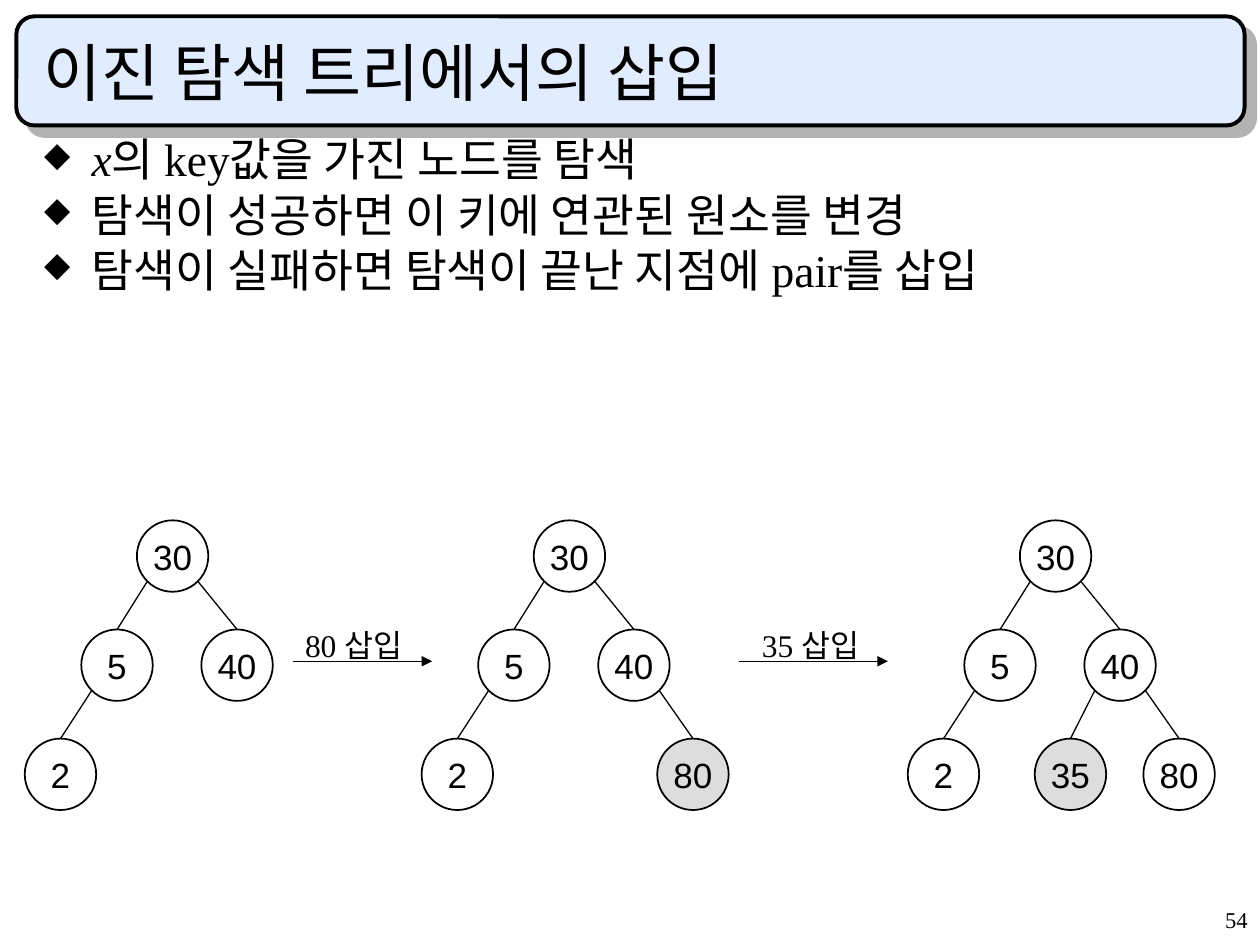
from dataclasses import dataclass
from math import sqrt

from lxml.etree import SubElement
from pptx import Presentation
from pptx.dml.color import RGBColor as RGB
from pptx.enum.shapes import MSO_CONNECTOR as CONNECTOR, MSO_SHAPE as SHAPE
from pptx.enum.text import MSO_ANCHOR as ANCHOR, PP_ALIGN as ALIGN
from pptx.oxml.ns import qn
from pptx.util import Cm, Pt


@dataclass(frozen=True)
class Theme:
    ink: RGB = RGB(0, 0, 0)
    banner: RGB = RGB(0xE1, 0xEC, 0xFF)
    shadow: str = "B2B2B2"
    added: RGB = RGB(0xDD, 0xDD, 0xDD)
    serif: str = "Times New Roman"
    sans: str = "Arial"
    korean: str = "Noto Sans CJK KR"
    title: float = 36
    body: float = 26
    node: float = 20
    step: float = 18
    page: float = 12.9


THEME = Theme()
NODE = 1.44
ROW = 2.2
TREE_TOP = 10.49
NODE_PLACES = {
    30: (2.26, 0), 5: (1.14, 1), 40: (3.56, 1),
    2: (0, 2), 35: (2.56, 2), 80: (4.75, 2),
}
PARENTS = {5: 30, 40: 30, 2: 5, 35: 40, 80: 40}


def style(p, size, font):
    for r in p.runs:
        r.font.size = Pt(size)
        r.font.name = font
        r.font.color.rgb = THEME.ink
        SubElement(r._r.get_or_add_rPr(), qn("a:ea"), typeface=THEME.korean)


def add_text(s, box, text, size, font, wrap=True):
    tf = s.shapes.add_textbox(*map(Cm, box)).text_frame
    tf.word_wrap = wrap
    tf.text = text
    style(tf.paragraphs[0], size, font)
    return tf


def add_line(s, start, end, arrow=False):
    line = s.shapes.add_connector(CONNECTOR.STRAIGHT, *map(Cm, start + end))
    line.line.color.rgb = THEME.ink
    line.line.width = Pt(0.75)
    if arrow:
        SubElement(line.line._get_or_add_ln(), qn("a:tailEnd"), type="triangle")
    SubElement(line._element.spPr, qn("a:effectLst"))


def add_banner(s, box, title):
    x, y, w, h = box
    sp = s.shapes.add_shape(SHAPE.ROUNDED_RECTANGLE, *map(Cm, box))
    sp.fill.solid()
    sp.fill.fore_color.rgb = THEME.banner
    sp.line.color.rgb = THEME.ink
    sp.line.width = Pt(2.25)
    sp.shadow.inherit = False
    effects = sp._element.spPr.find(qn("a:effectLst"))
    shadow = SubElement(effects, qn("a:outerShdw"), dist=str(Pt(8.5)),
                        dir="2700000", algn="tl", rotWithShape="0")
    SubElement(shadow, qn("a:srgbClr"), val=THEME.shadow)
    tf = add_text(s, (x + 0.3, y + 0.3, w - 0.84, 1.7), title,
                  THEME.title, THEME.korean)
    tf.vertical_anchor = ANCHOR.BOTTOM


def add_bullets(s, box, items):
    tf = s.shapes.add_textbox(*map(Cm, box)).text_frame
    tf.word_wrap = True
    for i, parts in enumerate(items):
        p = tf.add_paragraph() if i else tf.paragraphs[0]
        p.line_spacing = 0.8
        p.space_before = Pt(6.5 if i else 0)
        pPr = p._p.get_or_add_pPr()
        pPr.set("marL", str(Cm(0.96)))
        pPr.set("indent", str(-Cm(0.96)))
        SubElement(pPr, qn("a:buSzPct"), val="75000")
        SubElement(pPr, qn("a:buChar"), char="◆")
        for text, italic in parts:
            r = p.add_run()
            r.text = text
            r.font.italic = italic
        style(p, THEME.body, THEME.serif)


def add_node(s, x, y, key, added):
    sp = s.shapes.add_shape(SHAPE.OVAL, Cm(x), Cm(y), Cm(NODE), Cm(NODE))
    sp.shadow.inherit = False
    if added:
        sp.fill.solid()
        sp.fill.fore_color.rgb = THEME.added
    else:
        sp.fill.background()
    sp.line.color.rgb = THEME.ink
    sp.line.width = Pt(1)
    tf = sp.text_frame
    tf.word_wrap = False
    tf.vertical_anchor = ANCHOR.MIDDLE
    tf.text = str(key)
    p = tf.paragraphs[0]
    p.alignment = ALIGN.CENTER
    style(p, THEME.node, THEME.sans)


def add_tree(s, left, top, keys, added=None):
    places = {key: (left + NODE_PLACES[key][0], top + ROW * NODE_PLACES[key][1])
              for key in keys}
    radius = NODE / 2
    reach = radius / sqrt(2)
    for key, (x, y) in places.items():
        add_node(s, x, y, key, key == added)
        if key in PARENTS:
            px, py = places[PARENTS[key]]
            side = -reach if x < px else reach
            add_line(s, (px + radius + side, py + radius + reach), (x + radius, y))


def add_step(s, box, text, indent):
    x, y, w, h = box
    add_line(s, (x, y + 0.83), (x + w, y + 0.83), arrow=True)
    add_text(s, (x + indent, y, 2.62, h), text, THEME.step, THEME.serif, wrap=False)


def add_page_number(s, box, number):
    tf = add_text(s, box, str(number), THEME.page, THEME.serif)
    tf.paragraphs[0].alignment = ALIGN.RIGHT
    tf.paragraphs[0].line_spacing = 0.9


def main():
    prs = Presentation()
    prs.slide_width, prs.slide_height = Cm(25.4), Cm(19.05)
    s = prs.slides.add_slide(prs.slide_layouts[6])
    add_banner(s, (0.33, 0.33, 24.76, 2.2), "이진 탐색 트리에서의 삽입")
    add_bullets(s, (0.64, 2.74, 23.93, 3.58), [
        [("x", True), ("의 key값을 가진 노드를 탐색", False)],
        [("탐색이 성공하면 이 키에 연관된 원소를 변경", False)],
        [("탐색이 실패하면 탐색이 끝난 지점에 pair를 삽입", False)],
    ])
    add_tree(s, 0.5, TREE_TOP, (30, 5, 2, 40))
    add_step(s, (5.9, 12.5, 2.81, 1.02), "80 삽입", 0)
    add_tree(s, 8.5, TREE_TOP, (30, 5, 2, 40, 80), added=80)
    add_step(s, (14.9, 12.5, 3, 1.02), "35 삽입", 0.21)
    add_tree(s, 18.3, TREE_TOP, (30, 5, 2, 40, 35, 80), added=35)
    add_page_number(s, (20.12, 18.21, 5.28, 0.84), 54)
    prs.save("out.pptx")


if __name__ == "__main__":
    main()
